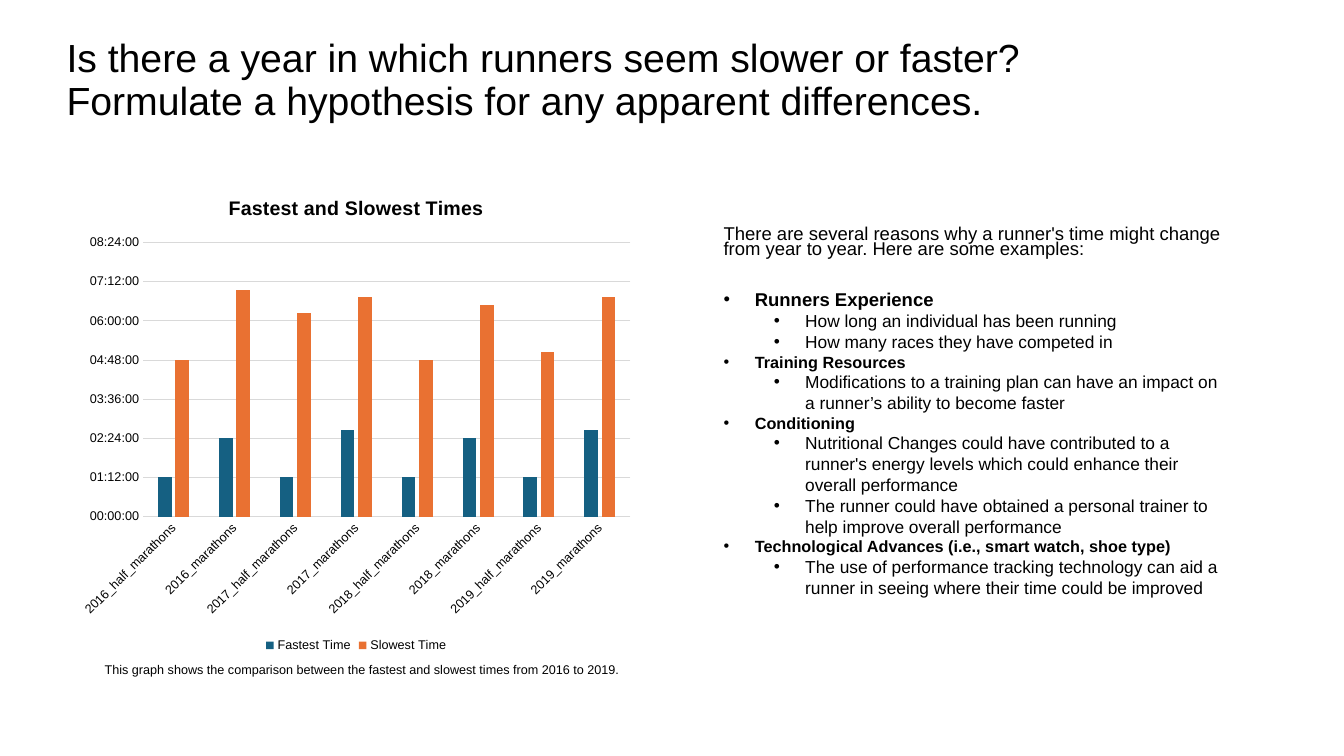
from dataclasses import dataclass

from lxml import etree
from pptx import Presentation
from pptx import util as u
from pptx.chart.data import CategoryChartData
from pptx.dml.color import RGBColor
from pptx.enum import chart as ch
from pptx.enum import text
from pptx.oxml.ns import qn


@dataclass(frozen=True)
class Theme:
    font: str = "Arial"
    chart_font: str = "Roboto"
    ink: str = "000000"
    grid: str = "D9D9D9"
    fastest: str = "156082"
    slowest: str = "E97132"
    title: float = 28
    chart_title: float = 14
    lead: float = 13.2
    detail: float = 12.4
    topic: float = 11.6
    chart_text: float = 10
    label: float = 9


THEME = Theme()
SLIDE_W, SLIDE_H = 13.33, 7.5

TITLE = ("Is there a year in which runners seem slower or faster? "
         "Formulate a hypothesis for any apparent differences.")
CAPTION = ("This graph shows the comparison between the fastest and slowest "
           "times from 2016 to 2019.")
LEAD = ("There are several reasons why a runner's time might change from year "
        "to year. Here are some examples:")
REASONS = [
    ("Runners Experience", THEME.lead, [
        "How long an individual has been running",
        "How many races they have competed in"]),
    ("Training Resources", THEME.topic, [
        "Modifications to a training plan can have an impact on a runner’s "
        "ability to become faster"]),
    ("Conditioning", THEME.topic, [
        "Nutritional Changes could have contributed to a runner's energy "
        "levels which could enhance their overall performance",
        "The runner could have obtained a personal trainer to help improve "
        "overall performance"]),
    ("Technological Advances (i.e., smart watch, shoe type)", THEME.topic, [
        "The use of performance tracking technology can aid a runner in "
        "seeing where their time could be improved"]),
]
RACES = [f"{year}_{race}" for year in range(2016, 2020)
         for race in ("half_marathons", "marathons")]
TIMES = [
    ("Fastest Time", THEME.fastest,
     (0.05, 0.1, 0.05, 0.11, 0.05, 0.1, 0.05, 0.11)),
    ("Slowest Time", THEME.slowest,
     (0.2, 0.29, 0.26, 0.28, 0.2, 0.27, 0.21, 0.28)),
]


def inches(box):
    return [u.Inches(v) for v in box]


def style(font, size, bold=False, name=THEME.font):
    font.name, font.size, font.bold = name, u.Pt(size), bold
    font.color.rgb = RGBColor.from_string(THEME.ink)


def write(p, words, size, bold=False):
    p.text = words
    for r in p.runs:
        style(r.font, size, bold)


def bullet(p, left, hang):
    pPr = p._p.get_or_add_pPr()
    pPr.set("marL", str(u.Inches(left)))
    pPr.set("indent", str(-u.Inches(hang)))
    etree.SubElement(pPr, qn("a:buFont")).set("typeface", THEME.font)
    etree.SubElement(pPr, qn("a:buChar")).set("char", "•")


def add_title(slide, box):
    sp = slide.shapes.title
    sp.left, sp.top, sp.width, sp.height = inches(box)
    tf = sp.text_frame
    tf.word_wrap = True
    tf.auto_size = text.MSO_AUTO_SIZE.NONE
    tf.vertical_anchor = text.MSO_ANCHOR.MIDDLE
    tf.margin_bottom = u.Inches(0.51)
    p = tf.paragraphs[0]
    write(p, TITLE, THEME.title)
    p.alignment = text.PP_ALIGN.LEFT
    p.line_spacing = 0.9


def add_times_chart(slide, box):
    data = CategoryChartData(number_format="hh:mm:ss")
    data.categories = RACES
    for name, _, values in TIMES:
        data.add_series(name, values)
    chart = slide.shapes.add_chart(
        ch.XL_CHART_TYPE.COLUMN_CLUSTERED, *inches(box), data).chart
    style(chart.font, THEME.chart_text, name=THEME.chart_font)

    chart.has_title = True
    p = chart.chart_title.text_frame.paragraphs[0]
    write(p, "Fastest and Slowest Times", THEME.chart_title, True)
    chart.chart_title.include_in_layout = False

    chart.has_legend = True
    chart.legend.position = ch.XL_LEGEND_POSITION.BOTTOM
    chart.legend.include_in_layout = False
    style(chart.legend.font, THEME.label)

    plot = chart.plots[0]
    plot.gap_width, plot.overlap, plot.vary_by_categories = 219, -27, False
    for series, (_, color, _) in zip(plot.series, TIMES):
        series.format.fill.solid()
        series.format.fill.fore_color.rgb = RGBColor.from_string(color)

    races, hours = chart.category_axis, chart.value_axis
    for axis in (races, hours):
        axis.major_tick_mark = axis.minor_tick_mark = ch.XL_TICK_MARK.NONE
        style(axis.tick_labels.font, THEME.label)
    races.has_major_gridlines = False
    body = races._element.find(qn("c:txPr")).find(qn("a:bodyPr"))
    body.set("rot", "-2700000")
    hours.minimum_scale, hours.maximum_scale, hours.major_unit = 0, 0.35, 0.05
    hours.tick_labels.number_format = "hh:mm:ss"
    hours.tick_labels.number_format_is_linked = False
    hours.format.line.fill.background()
    for line in (races.format.line, hours.major_gridlines.format.line):
        line.color.rgb = RGBColor.from_string(THEME.grid)
        line.width = u.Pt(0.75)


def add_caption(slide, box):
    tf = slide.shapes.add_textbox(*inches(box)).text_frame
    tf.word_wrap = False
    tf.auto_size = text.MSO_AUTO_SIZE.SHAPE_TO_FIT_TEXT
    write(tf.paragraphs[0], CAPTION, THEME.label)


def add_reasons(slide, box):
    tf = slide.shapes.add_textbox(*inches(box)).text_frame
    tf.word_wrap = True
    lead = tf.paragraphs[0]
    write(lead, LEAD, THEME.lead)
    lead.line_spacing = 0.7
    lead.space_after = u.Pt(21)
    for topic, size, details in REASONS:
        p = tf.add_paragraph()
        write(p, topic, size, True)
        bullet(p, 0.31, 0.31)
        for detail in details:
            p = tf.add_paragraph()
            p.level = 1
            write(p, detail, THEME.detail)
            bullet(p, 0.81, 0.31)


def build_slide(prs, box):
    slide = prs.slides.add_slide(prs.slide_layouts[5])
    x, y, w, h = box
    col, row = w / 100, h / 100

    def part(left, top, width, height):
        return x + left * col, y + top * row, width * col, height * row

    add_title(slide, part(4.2, 4.13, 86.27, 19.33))
    add_times_chart(slide, part(5.25, 23.4, 42.5, 63.47))
    add_caption(slide, part(7.05, 86.93, 40.14, 3.33))
    add_reasons(slide, part(53.1, 29.47, 39.31, 49.73))


def main():
    prs = Presentation()
    prs.slide_width, prs.slide_height = u.Inches(SLIDE_W), u.Inches(SLIDE_H)
    build_slide(prs, (0, 0, SLIDE_W, SLIDE_H))
    prs.save("out.pptx")


if __name__ == "__main__":
    main()
